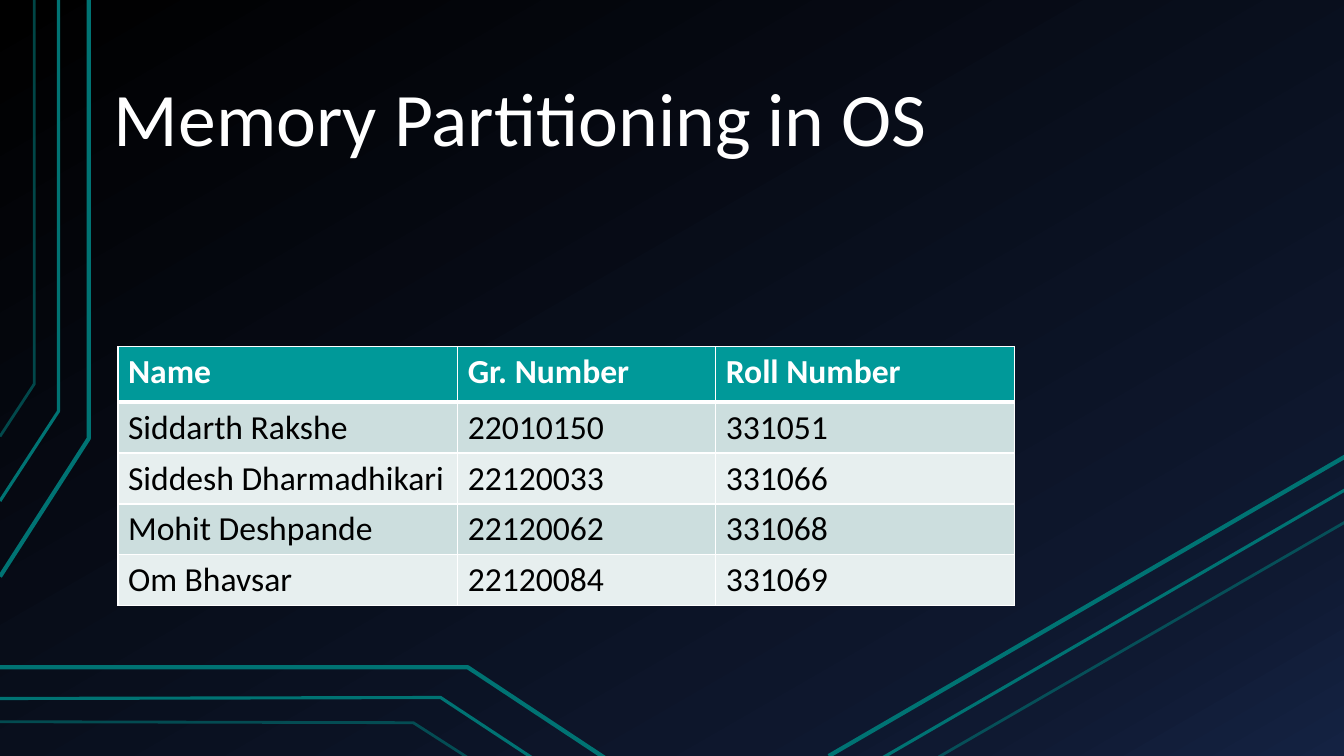
from dataclasses import dataclass

from lxml import etree
from pptx import Presentation
from pptx.dml.color import RGBColor
from pptx.enum.shapes import MSO_CONNECTOR
from pptx.enum.text import MSO_ANCHOR
from pptx.oxml import parse_xml
from pptx.oxml.ns import nsdecls, qn
from pptx.util import Inches, Pt

STRAIGHT = MSO_CONNECTOR.STRAIGHT
BOTTOM = MSO_ANCHOR.BOTTOM


@dataclass(frozen=True)
class Theme:
    font: str = "Calibri"
    title: int = 54
    body: int = 24
    white: str = "FFFFFF"
    black: str = "000000"
    trace: str = "007373"
    head: str = "009999"
    bands: tuple = ("CCDEDE", "E7EFEF")
    sky: tuple = ((0, "000000"), (85, "0F1931"), (100, "142242"))
    angle: int = 60
    pens: tuple = ((3, 100), (2.25, 100), (2, 60))
    rule: int = 1
    thick: int = 3


THEME = Theme()

LEFT = (
    ((0, 5.72), (0.88, 4.35), (0.88, 0)),
    ((0, 4.97), (0.58, 4.08), (0.58, 0)),
    ((0, 4.33), (0.34, 3.81), (0.34, 0)),
)
FLOOR = (
    ((6, 0.9), (4.64, 0), (0, 0)),
    ((5.28, 0.9), (4.37, 0.3), (0, 0.31)),
    ((4.63, 0.89), (4.1, 0.55), (0, 0.54)),
)
RAYS = (
    ((0, 2.97), (5.12, 0)),
    ((0.53, 2.99), (5.12, 0.33)),
    ((1.09, 2.98), (5.12, 0.65)),
)
ROWS = (
    ("Name", "Gr. Number", "Roll Number"),
    ("Siddarth Rakshe", "22010150", "331051"),
    ("Siddesh Dharmadhikari", "22120033", "331066"),
    ("Mohit Deshpande", "22120062", "331068"),
    ("Om Bhavsar", "22120084", "331069"),
)
SHARES = (3.37, 2.56, 2.96)


def color(code):
    return RGBColor.from_string(code)


def add_text(para, text, size, code, bold=False):
    run = para.add_run()
    run.text = text
    run.font.name = THEME.font
    run.font.size = Pt(size)
    run.font.bold = bold
    run.font.color.rgb = color(code)


def paint_sky(slide):
    fill = slide.background.fill
    fill.gradient()
    fill.gradient_angle = 360 - THEME.angle
    stops = slide.element.find(".//" + qn("a:gsLst"))
    for stop in list(stops):
        stops.remove(stop)
    for pos, code in THEME.sky:
        stop = etree.SubElement(stops, qn("a:gs"), pos=str(pos * 1000))
        etree.SubElement(stop, qn("a:srgbClr"), val=code)


def style_trace(shape, pen):
    width, alpha = pen
    shape.line.width = Pt(width)
    shape.line.color.rgb = color(THEME.trace)
    tint = shape.line._ln.find(".//" + qn("a:srgbClr"))
    etree.SubElement(tint, qn("a:alpha"), val=str(alpha * 1000))


def add_traces(slide, box, routes):
    left, top = box
    for route, pen in zip(routes, THEME.pens):
        points = [(Inches(left + x), Inches(top + y)) for x, y in route]
        if len(points) == 2:
            shape = slide.shapes.add_connector(STRAIGHT, *points[0], *points[1])
            etree.SubElement(shape._element.spPr, qn("a:effectLst"))
        else:
            pencil = slide.shapes.build_freeform(*points[0])
            pencil.add_line_segments(points[1:], close=False)
            shape = pencil.convert_to_shape()
            shape.fill.background()
            shape.shadow.inherit = False
        style_trace(shape, pen)


def add_title(slide, box, text):
    frame = slide.shapes.add_textbox(*map(Inches, box)).text_frame
    frame.word_wrap = True
    frame.vertical_anchor = BOTTOM
    frame.margin_left = frame.margin_right = Inches(0.13)
    frame.margin_top = frame.margin_bottom = Inches(0.07)
    para = frame.paragraphs[0]
    para.line_spacing = 0.9
    add_text(para, text, THEME.title, THEME.white)


def add_rules(cell, row):
    props = cell._tc.get_or_add_tcPr()
    for index, side in enumerate("LRTB"):
        heavy = (row, side) in ((0, "B"), (1, "T"))
        width = Pt(THEME.thick if heavy else THEME.rule)
        props.insert(index, parse_xml(
            f'<a:ln{side} {nsdecls("a")} w="{width}"><a:solidFill>'
            f'<a:srgbClr val="{THEME.white}"/></a:solidFill></a:ln{side}>'))


def add_roster(slide, box, rows):
    left, top, width, height = box
    table = slide.shapes.add_table(
        len(rows), len(SHARES), *map(Inches, box)).table
    for column, share in zip(table.columns, SHARES):
        column.width = Inches(width * share / sum(SHARES))
    first = 0.55
    rest = (height - first) / (len(rows) - 1)
    for r, values in enumerate(rows):
        head = r == 0
        table.rows[r].height = Inches(first if head else rest)
        for c, value in enumerate(values):
            cell = table.cell(r, c)
            cell.fill.solid()
            code = THEME.head if head else THEME.bands[(r - 1) % 2]
            cell.fill.fore_color.rgb = color(code)
            ink = THEME.white if head else THEME.black
            add_text(cell.text_frame.paragraphs[0], value, THEME.body, ink, head)
            add_rules(cell, r)


def main():
    deck = Presentation()
    deck.slide_width = Inches(13.33)
    deck.slide_height = Inches(7.5)
    slide = deck.slides.add_slide(deck.slide_layouts[6])
    paint_sky(slide)
    add_traces(slide, (0, 0), LEFT)
    add_traces(slide, (8.22, 4.53), RAYS)
    add_traces(slide, (0, 6.62), FLOOR)
    add_title(slide, (1, -0.5, 9.55, 2.19), "Memory Partitioning in OS")
    add_roster(slide, (1.17, 3.44, 8.89, 2.57), ROWS)
    deck.save("out.pptx")


if __name__ == "__main__":
    main()
